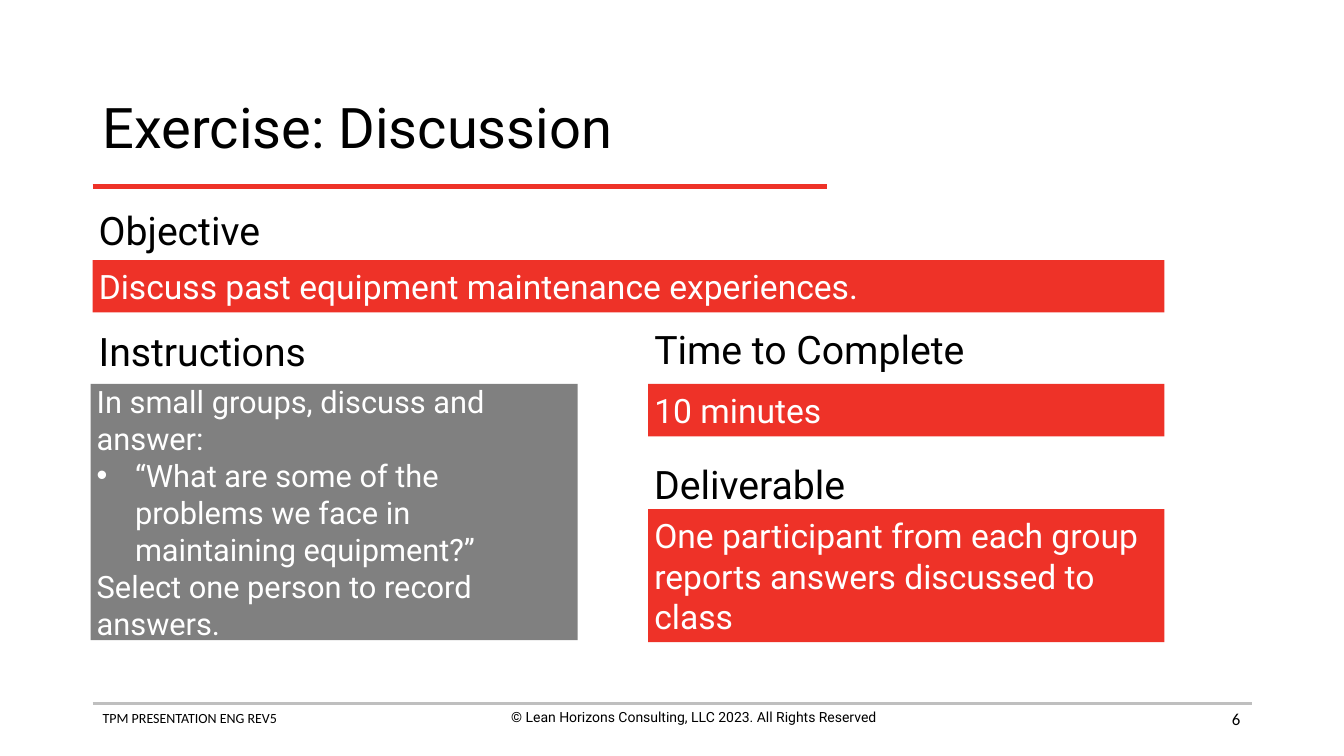
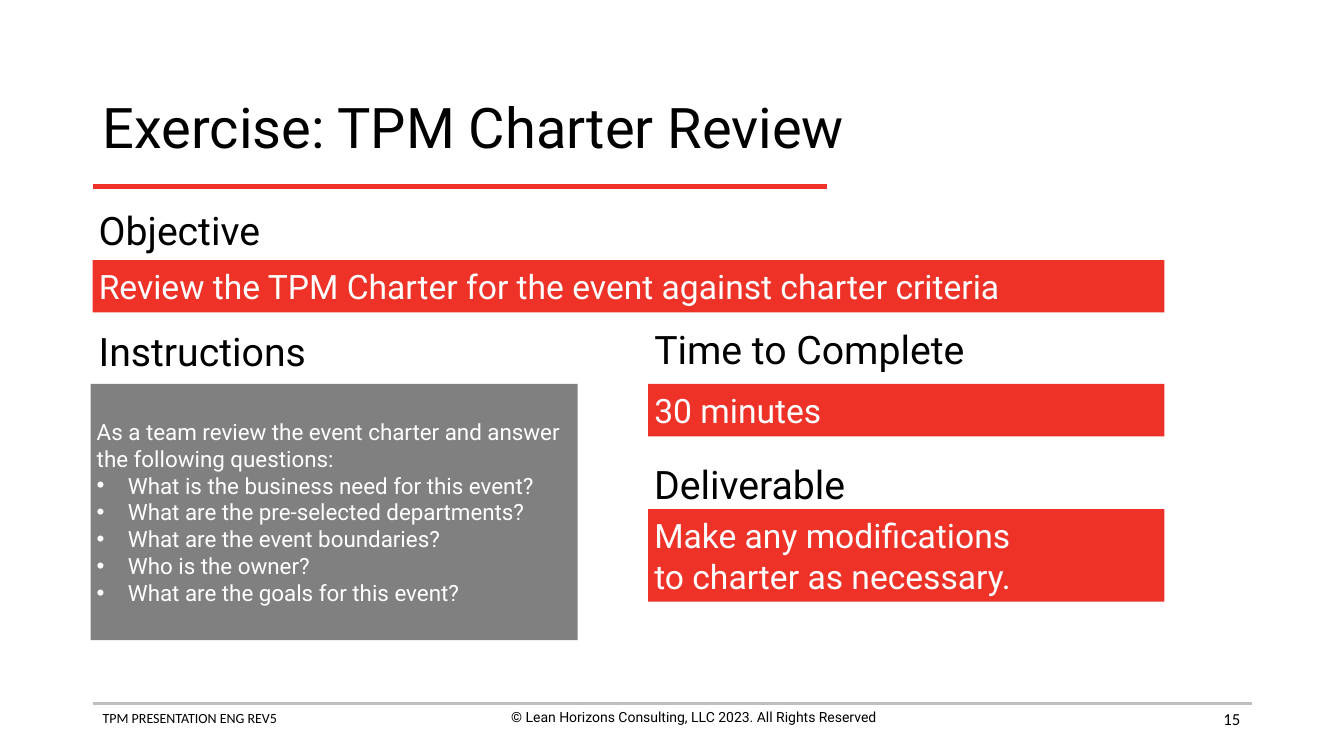
import pptx
import pptx.util
import pptx.dml.color
import pptx.enum.shapes
import pptx.enum.text
import pptx.oxml.ns
import lxml.etree

COLORS = {
    "paper": "FFFFFF",
    "ink": "000000",
    "red": "EE3228",
    "gray": "808080",
    "rule": "BFBFBF",
}
HEADING_FONT = "Roboto"
SMALL_FONT = "Calibri"
ALIGN = pptx.enum.text.PP_ALIGN
ANCHOR = pptx.enum.text.MSO_ANCHOR
WIDTH, HEIGHT = 13.33, 7.5

# Shares of the slide's width and height, in percent
LEFT, RIGHT = 6.9, 93.17
SECOND_COLUMN, PANEL_RIGHT = 48.23, 86.64
COLUMN_WIDTH = PANEL_RIGHT - SECOND_COLUMN
BAND_HEIGHT, HEADING_HEIGHT = 6.93, 7.73
PANEL_TOP = 50.8
FOOTER_TOP = 93.07

EXERCISES = [
    {
        "title": "Exercise: Discussion",
        "number": "6",
        "objective": "Discuss past equipment maintenance experiences.",
        "instructions": [
            ("In small groups, discuss and answer:", False),
            ("“What are some of the problems we face in maintaining equipment?”", True),
            ("Select one person to record answers.", False),
        ],
        "size": 22,
        "indent": 0.38,
        "time": "10 minutes",
        "deliverable": "One participant from each group reports answers discussed to class",
        "deliverable_height": 17.6,
    },
    {
        "title": "Exercise: TPM Charter Review",
        "number": "15",
        "objective": "Review the TPM Charter for the event against charter criteria",
        "instructions": [
            ("As a team review the event charter and answer the following questions:", False),
            ("What is the business need for this event?", True),
            ("What are the pre-selected departments?", True),
            ("What are the event boundaries?", True),
            ("Who is the owner?", True),
            ("What are the goals for this event?", True),
        ],
        "size": 16,
        "indent": 0.31,
        "time": "30 minutes",
        "deliverable": "Make any modifications\nto charter as necessary.",
        "deliverable_height": 12.27,
    },
]


def across(share):
    return pptx.util.Inches(WIDTH * share / 100)


def down(share):
    return pptx.util.Inches(HEIGHT * share / 100)


def color(name):
    return pptx.dml.color.RGBColor.from_string(COLORS[name])


class ExerciseDeck:
    """Holds the shared style and the slide being filled."""

    def __init__(self):
        self.deck = pptx.Presentation()
        self.deck.slide_width = across(100)
        self.deck.slide_height = down(100)
        self.page = None

    def start_page(self, title, number):
        self.page = self.deck.slides.add_slide(self.deck.slide_layouts[6])
        fill = self.page.background.fill
        fill.solid()
        fill.fore_color.rgb = color("paper")
        self.rule(LEFT, RIGHT, FOOTER_TOP, "rule", 2)
        self.label("TPM PRESENTATION ENG REV5", LEFT, 93.2, 34.21, 3.6, 10, SMALL_FONT)
        self.label("© Lean Horizons Consulting, LLC 2023. All Rights Reserved",
                   34.51, FOOTER_TOP, 34.21, 5.87, 10, align=ALIGN.CENTER)
        self.rule(LEFT, 61.52, 24.67, "red", 3)
        box = self.label(title, LEFT, 9.87, RIGHT - LEFT, 14.67, 40, anchor=ANCHOR.MIDDLE)
        box.text_frame.paragraphs[0].line_spacing = 0.9
        self.label(number, 70.52, 92.4, 22.51, 5.33, 12, SMALL_FONT,
                   ALIGN.RIGHT, ANCHOR.MIDDLE)

    def rule(self, left, right, top, line_color, points):
        line = self.page.shapes.add_connector(
            pptx.enum.shapes.MSO_CONNECTOR.STRAIGHT,
            across(left), down(top), across(right), down(top))
        line.line.color.rgb = color(line_color)
        line.line.width = pptx.util.Pt(points)
        lxml.etree.SubElement(line._element.spPr, pptx.oxml.ns.qn("a:effectLst"))

    def label(self, text, left, top, width, height, size, font=HEADING_FONT,
              align=ALIGN.LEFT, anchor=ANCHOR.TOP):
        box = self.page.shapes.add_textbox(
            across(left), down(top), across(width), down(height))
        box.text_frame.word_wrap = True
        box.text_frame.vertical_anchor = anchor
        para = box.text_frame.paragraphs[0]
        para.alignment = align
        self.add_text(para, text, size, "ink", font)
        return box

    def heading(self, text, left, top, width):
        box = self.label(text, left, top, width, HEADING_HEIGHT, 28)
        self.inset(box)
        box.text_frame.word_wrap = False

    def panel(self, lines, left, top, width, height, fill="red", size=24, indent=0):
        """Draw a filled box; lines are pairs of text and whether it is bulleted."""
        box = self.page.shapes.add_shape(
            pptx.enum.shapes.MSO_SHAPE.RECTANGLE,
            across(left), down(top), across(width), down(height))
        box.shadow.inherit = False
        box.fill.solid()
        box.fill.fore_color.rgb = color(fill)
        box.line.fill.background()
        self.inset(box)
        frame = box.text_frame
        frame.word_wrap = True
        frame.vertical_anchor = ANCHOR.MIDDLE
        for index, (text, bulleted) in enumerate(lines):
            para = frame.add_paragraph() if index else frame.paragraphs[0]
            para.alignment = ALIGN.LEFT
            if bulleted:
                self.bullet(para, indent)
            self.add_text(para, text, size, "paper")

    def inset(self, box):
        frame = box.text_frame
        frame.margin_left = frame.margin_right = pptx.util.Inches(0.06)
        frame.margin_top = frame.margin_bottom = pptx.util.Inches(0.06)

    def bullet(self, para, indent):
        properties = para._p.get_or_add_pPr()
        properties.set("marL", str(pptx.util.Inches(indent)))
        properties.set("indent", str(-pptx.util.Inches(indent)))
        for tag, name, value in (("a:buFont", "typeface", "Arial"),
                                 ("a:buChar", "char", "•")):
            lxml.etree.SubElement(properties, pptx.oxml.ns.qn(tag)).set(name, value)

    def add_text(self, para, text, size, text_color, font=HEADING_FONT):
        """Add one run for each line of the text."""
        for index, line in enumerate(text.split("\n")):
            if index:
                para.add_line_break()
            span = para.add_run()
            span.text = line
            span.font.name = font
            span.font.size = pptx.util.Pt(size)
            span.font.color.rgb = color(text_color)

    def exercise(self, content):
        self.start_page(content["title"], content["number"])
        self.heading("Objective", LEFT, 26.53, 13.13)
        self.panel([(content["objective"], False)],
                   LEFT, 34.4, PANEL_RIGHT - LEFT, BAND_HEIGHT)
        self.heading("Instructions", LEFT, 42.53, 16.58)
        self.panel(content["instructions"], 6.75, PANEL_TOP, 36.23, 33.87,
                   "gray", content["size"], content["indent"])
        self.heading("Time to Complete", SECOND_COLUMN, 42.27, 24.38)
        self.panel([(content["time"], False)],
                   SECOND_COLUMN, PANEL_TOP, COLUMN_WIDTH, BAND_HEIGHT)
        self.heading("Deliverable", SECOND_COLUMN, 60.13, 15.53)
        self.panel([(content["deliverable"], False)],
                   SECOND_COLUMN, 67.33, COLUMN_WIDTH, content["deliverable_height"])


def main():
    exercises = ExerciseDeck()
    for content in EXERCISES:
        exercises.exercise(content)
    exercises.deck.save("out.pptx")


if __name__ == "__main__":
    main()
